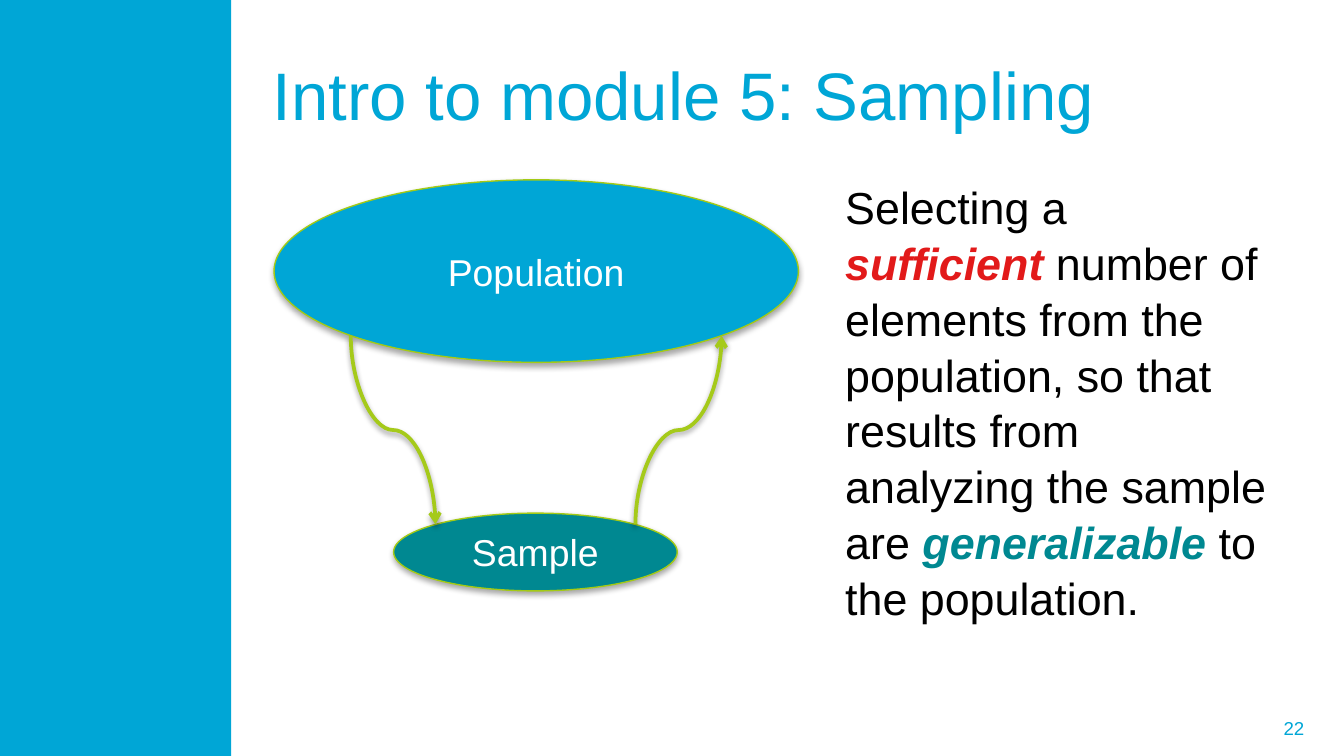
from dataclasses import dataclass

from lxml.etree import SubElement
from pptx import Presentation
from pptx.dml.color import RGBColor
from pptx.enum.shapes import MSO_CONNECTOR, MSO_SHAPE
from pptx.enum.text import MSO_ANCHOR as Anchor, MSO_AUTO_SIZE as AutoSize, PP_ALIGN as Align
from pptx.oxml.ns import qn
from pptx.util import Cm, Pt

FONT = "Arial"
COLORS = {
    "blue": "00A6D6",
    "teal": "008891",
    "lime": "A4CA15",
    "arrow": "A5CA1A",
    "red": "E21A1A",
    "white": "FFFFFF",
    "black": "000000",
}


@dataclass
class Box:
    left: float
    top: float
    width: float
    height: float

    def lengths(self) -> tuple:
        return Cm(self.left), Cm(self.top), Cm(self.width), Cm(self.height)


@dataclass
class Oval:
    label: str
    box: Box
    color: str


@dataclass
class Arrow:
    x1: float
    y1: float
    x2: float
    y2: float


@dataclass
class Span:
    text: str
    color: str = "black"
    strong: bool = False


OVALS = [
    Oval("Population", Box(5.18, 3.4, 9.91, 3.45), "blue"),
    Oval("Sample", Box(7.44, 9.7, 5.36, 1.47), "teal"),
]
ARROWS = [Arrow(6.63, 6.35, 8.23, 9.91), Arrow(12.01, 9.91, 13.64, 6.35)]
DEFINITION = [
    Span("Selecting a "),
    Span("sufficient ", "red", True),
    Span("number of elements from the population, so that results from "
         "analyzing the sample are "),
    Span("generalizable", "teal", True),
    Span(" to the population."),
]


def rgb(name: str) -> RGBColor:
    return RGBColor.from_string(COLORS[name])


def add_run(p, span: Span, size: float) -> None:
    r = p.add_run()
    r.text = span.text
    r.font.name = FONT
    r.font.size = Pt(size)
    r.font.bold = r.font.italic = span.strong
    r.font.color.rgb = rgb(span.color)


def place(s, box: Box) -> None:
    s.left, s.top, s.width, s.height = box.lengths()


def add_shadow(s, distance: float, opacity: int) -> None:
    effects = SubElement(s._element.spPr, qn("a:effectLst"))
    shadow = SubElement(effects, qn("a:outerShdw"), blurRad=str(Pt(3.15)),
                        dist=str(Pt(distance)), dir="5400000", rotWithShape="0")
    color = SubElement(shadow, qn("a:srgbClr"), val=COLORS["black"])
    SubElement(color, qn("a:alpha"), val=str(opacity * 1000))


def add_oval(shapes, oval: Oval) -> None:
    s = shapes.add_shape(MSO_SHAPE.OVAL, *oval.box.lengths())
    s.fill.solid()
    s.fill.fore_color.rgb = rgb(oval.color)
    s.line.color.rgb = rgb("lime")
    s.line.width = Pt(0.75)
    add_shadow(s, 1.8, 35)
    tf = s.text_frame
    tf.vertical_anchor = Anchor.MIDDLE
    p = tf.paragraphs[0]
    p.alignment = Align.CENTER
    add_run(p, Span(oval.label, "white"), 20)


def add_arrow(shapes, arrow: Arrow) -> None:
    """Draw a curve that leaves and arrives vertically: a flat curve, turned a quarter."""
    cx, cy = (arrow.x1 + arrow.x2) / 2, (arrow.y1 + arrow.y2) / 2
    down = arrow.y2 > arrow.y1
    half_length = abs(arrow.y2 - arrow.y1) / 2
    half_width = (arrow.x2 - arrow.x1) / 2 * (1 if down else -1)
    s = shapes.add_connector(
        MSO_CONNECTOR.CURVE,
        Cm(cx + half_length), Cm(cy - half_width),
        Cm(cx - half_length), Cm(cy + half_width))
    s._element.spPr.find(qn("a:xfrm")).set("rot", "16200000" if down else "5400000")
    s.line.color.rgb = rgb("arrow")
    s.line.width = Pt(2)
    SubElement(s.line._get_or_add_ln(), qn("a:tailEnd"), type="arrow")
    add_shadow(s, 1.6, 38)


def add_sidebar(shapes) -> None:
    s = shapes.add_shape(MSO_SHAPE.RECTANGLE, *Box(0, 0, 4.37, 14.29).lengths())
    s.shadow.inherit = False
    s.fill.solid()
    s.fill.fore_color.rgb = rgb("blue")
    s.line.fill.background()


def add_page_number(shapes, number: int) -> None:
    tf = shapes.add_textbox(*Box(18.47, 13.39, 6.43, 0.76).lengths()).text_frame
    tf.word_wrap = True
    tf.vertical_anchor = Anchor.MIDDLE
    p = tf.paragraphs[0]
    p.alignment = Align.RIGHT
    add_run(p, Span(str(number), "blue"), 10)


def fill_title(s) -> None:
    place(s, Box(4.9, 0.58, 19.74, 2.39))
    tf = s.text_frame
    tf.vertical_anchor = Anchor.MIDDLE
    tf.auto_size = AutoSize.NONE
    p = tf.paragraphs[0]
    p.alignment = Align.LEFT
    add_run(p, Span("Intro to module 5: Sampling", "blue"), 36)


def fill_definition(s) -> None:
    place(s, Box(15.72, 3.23, 8.48, 8.46))
    tf = s.text_frame
    tf.vertical_anchor = Anchor.TOP
    tf.auto_size = AutoSize.SHAPE_TO_FIT_TEXT
    p = tf.paragraphs[0]
    p.space_before = Pt(0)
    p.line_spacing = 1.04
    pPr = p._p.get_or_add_pPr()
    pPr.set("marL", "0")
    pPr.set("indent", "0")
    SubElement(pPr, qn("a:buNone"))
    for span in DEFINITION:
        add_run(p, span, 24)


def main() -> None:
    prs = Presentation()
    prs.slide_width, prs.slide_height = Cm(25.4), Cm(14.29)
    slide = prs.slides.add_slide(prs.slide_layouts[1])
    shapes = slide.shapes
    add_sidebar(shapes)
    add_page_number(shapes, 22)
    fill_title(shapes.title)
    fill_definition(slide.placeholders[1])
    diagram = shapes.add_group_shape().shapes
    for oval in OVALS:
        add_oval(diagram, oval)
    for arrow in ARROWS:
        add_arrow(diagram, arrow)
    prs.save("out.pptx")


if __name__ == "__main__":
    main()
